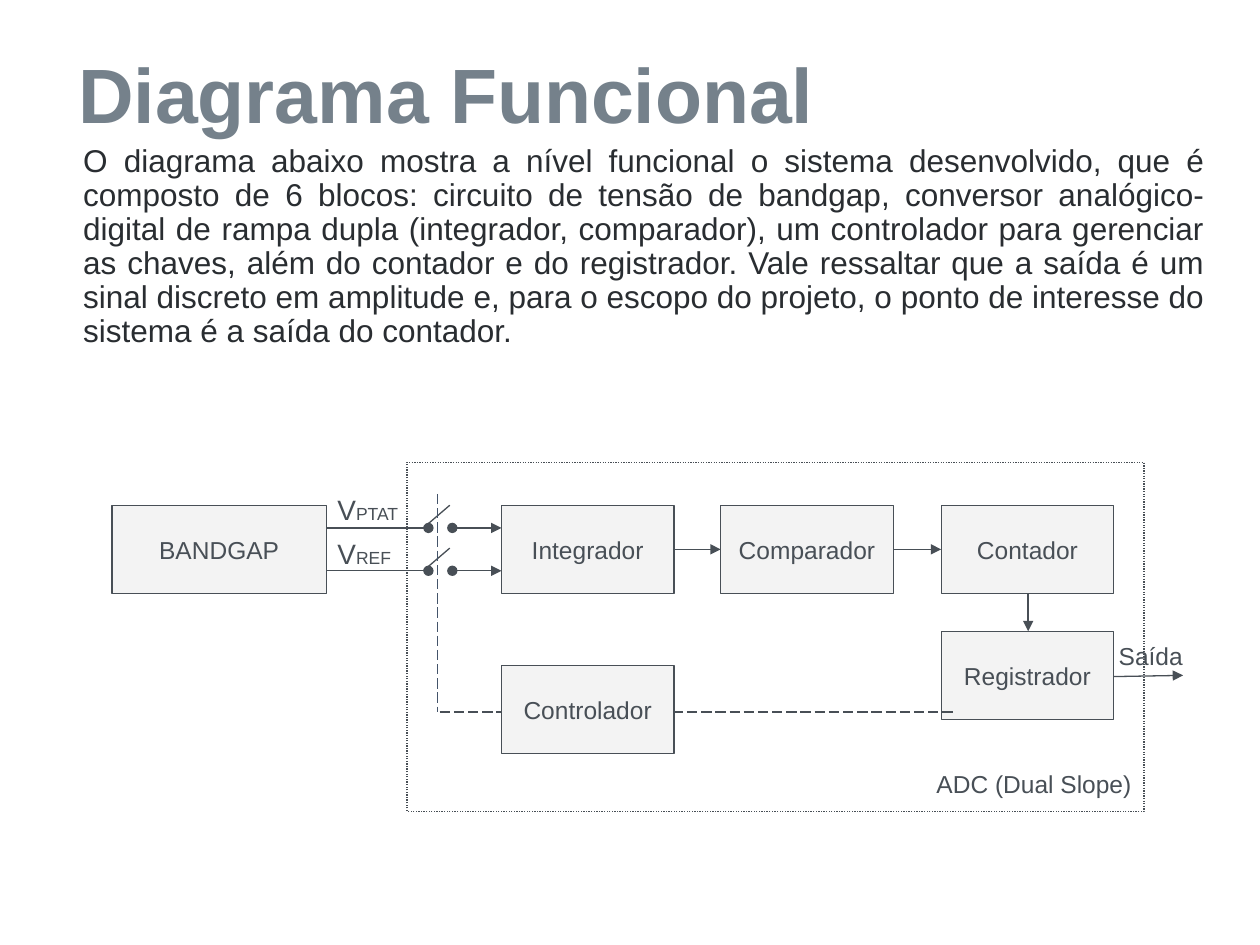
from lxml import etree
from pptx import Presentation
from pptx.dml.color import RGBColor
from pptx.enum.dml import MSO_LINE
from pptx.enum.shapes import MSO_CONNECTOR, MSO_SHAPE
from pptx.enum.text import MSO_ANCHOR, MSO_AUTO_SIZE, PP_ALIGN
from pptx.oxml.ns import qn
from pptx.util import Inches, Pt

RECTANGLE = MSO_SHAPE.RECTANGLE
STRAIGHT = MSO_CONNECTOR.STRAIGHT
DOTTED, DASHED = MSO_LINE.ROUND_DOT, MSO_LINE.LONG_DASH
TOP, MIDDLE, BOTTOM = MSO_ANCHOR.TOP, MSO_ANCHOR.MIDDLE, MSO_ANCHOR.BOTTOM
LEFT, CENTER, RIGHT = PP_ALIGN.LEFT, PP_ALIGN.CENTER, PP_ALIGN.RIGHT
JUSTIFY = PP_ALIGN.JUSTIFY
NO_AUTOFIT = MSO_AUTO_SIZE.NONE


def color(value):
    return RGBColor.from_string(value)


class DiagramSlide:
    font = "Arial"
    ink = "484F56"
    block_fill = "F3F3F3"
    line_width = Pt(0.75)

    def __init__(self, deck):
        self.slide = deck.slides.add_slide(deck.slide_layouts[1])
        self.shapes = self.slide.shapes

    def frame(self, shape, anchor, inset=0.1):
        frame = shape.text_frame
        frame.word_wrap = True
        frame.auto_size = NO_AUTOFIT
        frame.vertical_anchor = anchor
        frame.margin_left = frame.margin_right = Inches(0.1)
        frame.margin_top = frame.margin_bottom = Inches(inset)
        return frame

    def style(self, para, size, ink, align):
        para.alignment = align
        para.font.name = self.font
        para.font.size = Pt(size)
        para.font.color.rgb = color(ink)

    def placeholder(self, index, text, place, size, ink, align, bold=False):
        holder = self.slide.placeholders[index]
        holder.left, holder.top, holder.width, holder.height = map(Inches, place)
        frame = self.frame(holder, TOP, 0.05)
        frame.text = text
        para = frame.paragraphs[0]
        self.style(para, size, ink, align)
        para.font.bold = bold
        para.line_spacing = 0.9
        return para

    def title(self, text, place):
        self.placeholder(0, text, place, 44, "75818B", LEFT, True)

    def body(self, text, place):
        para = self.placeholder(1, text, place, 18, "292D31", JUSTIFY)
        para.space_before = Pt(10)
        properties = para._p.get_or_add_pPr()
        properties.set("marL", "0")
        properties.set("indent", "0")
        etree.SubElement(properties, qn("a:buNone"))

    def outline(self, line, ink, dash):
        line.color.rgb = color(ink)
        line.width = self.line_width
        if dash:
            line.dash_style = dash

    def box(self, text, place, fill=None, dash=None, anchor=MIDDLE, align=CENTER):
        box = self.shapes.add_shape(RECTANGLE, *map(Inches, place))
        box.shadow.inherit = False
        if fill:
            box.fill.solid()
            box.fill.fore_color.rgb = color(fill)
        else:
            box.fill.background()
        self.outline(box.line, self.ink, dash)
        frame = self.frame(box, anchor)
        frame.text = text
        self.style(frame.paragraphs[0], 14, self.ink, align)

    def block(self, text, left, top, width=1.37):
        self.box(text, (left, top, width, 0.7), self.block_fill)

    def line(self, start, end, head=None, tail=None, dash=None, ink=ink):
        line = self.shapes.add_connector(STRAIGHT, *map(Inches, start + end))
        self.outline(line.line, ink, dash)
        properties = line._element.spPr
        outline = properties.find(qn("a:ln"))
        for tag, kind in (("a:headEnd", head), ("a:tailEnd", tail)):
            if kind:
                etree.SubElement(outline, qn(tag), type=kind)
        etree.SubElement(properties, qn("a:effectLst"))

    def arrow(self, start, end, head=None):
        self.line(start, end, head, "triangle")

    def label(self, left, top, width, *spans):
        box = self.shapes.add_textbox(*map(Inches, (left, top, width, 0.3)))
        para = self.frame(box, TOP).paragraphs[0]
        self.style(para, spans[0][1], self.ink, LEFT)
        for text, size in spans:
            span = para.add_run()
            span.text = text
            span.font.size = Pt(size)


deck = Presentation()
deck.slide_width, deck.slide_height = Inches(10), Inches(7.5)
page = DiagramSlide(deck)

page.title("Diagrama Funcional", (0.52, 0.4, 8.62, 1.45))
page.body(
    "O diagrama abaixo mostra a nível funcional o sistema desenvolvido, que é "
    "composto de 6 blocos: circuito de tensão de bandgap, conversor "
    "analógico-digital de rampa dupla (integrador, comparador), um controlador "
    "para gerenciar as chaves, além do contador e do registrador. Vale ressaltar "
    "que a saída é um sinal discreto em amplitude e, para o escopo do projeto, "
    "o ponto de interesse do sistema é a saída do contador.",
    (0.56, 1.1, 9.1, 2.11),
)

page.box("ADC (Dual Slope)", (3.23, 3.67, 5.85, 2.77),
         dash=DOTTED, anchor=BOTTOM, align=RIGHT)
page.block("BANDGAP", 0.89, 4.01, 1.7)
for text, left, top in (
    ("Integrador", 3.98, 4.01),
    ("Comparador", 5.72, 4.01),
    ("Contador", 7.47, 4.01),
    ("Registrador", 7.47, 5.01),
    ("Controlador", 3.98, 5.28),
):
    page.block(text, left, top)

for name, wire, label_top in (("PTAT", 4.19, 3.81), ("REF", 4.53, 4.16)):
    page.line((2.59, wire), (3.4, wire), tail="oval")
    page.line((3.36, wire), (3.57, wire - 0.18))
    page.arrow((3.59, wire), (3.98, wire), head="oval")
    page.label(2.58, label_top, 0.71, ("V", 16), (name, 10))

for start, end in (
    ((5.34, 4.36), (5.72, 4.36)),
    ((7.09, 4.36), (7.47, 4.36)),
    ((8.16, 4.71), (8.16, 5.01)),
    ((8.84, 5.37), (9.39, 5.36)),
):
    page.arrow(start, end)

page.line((3.47, 3.92), (3.47, 5.65), dash=DASHED, ink="44546A")
page.line((3.49, 5.65), (3.98, 5.65), dash=DASHED)
page.line((5.34, 5.65), (7.57, 5.65), dash=DASHED)
page.label(8.78, 4.99, 1.02, ("Saída", 14))

deck.save("out.pptx")
